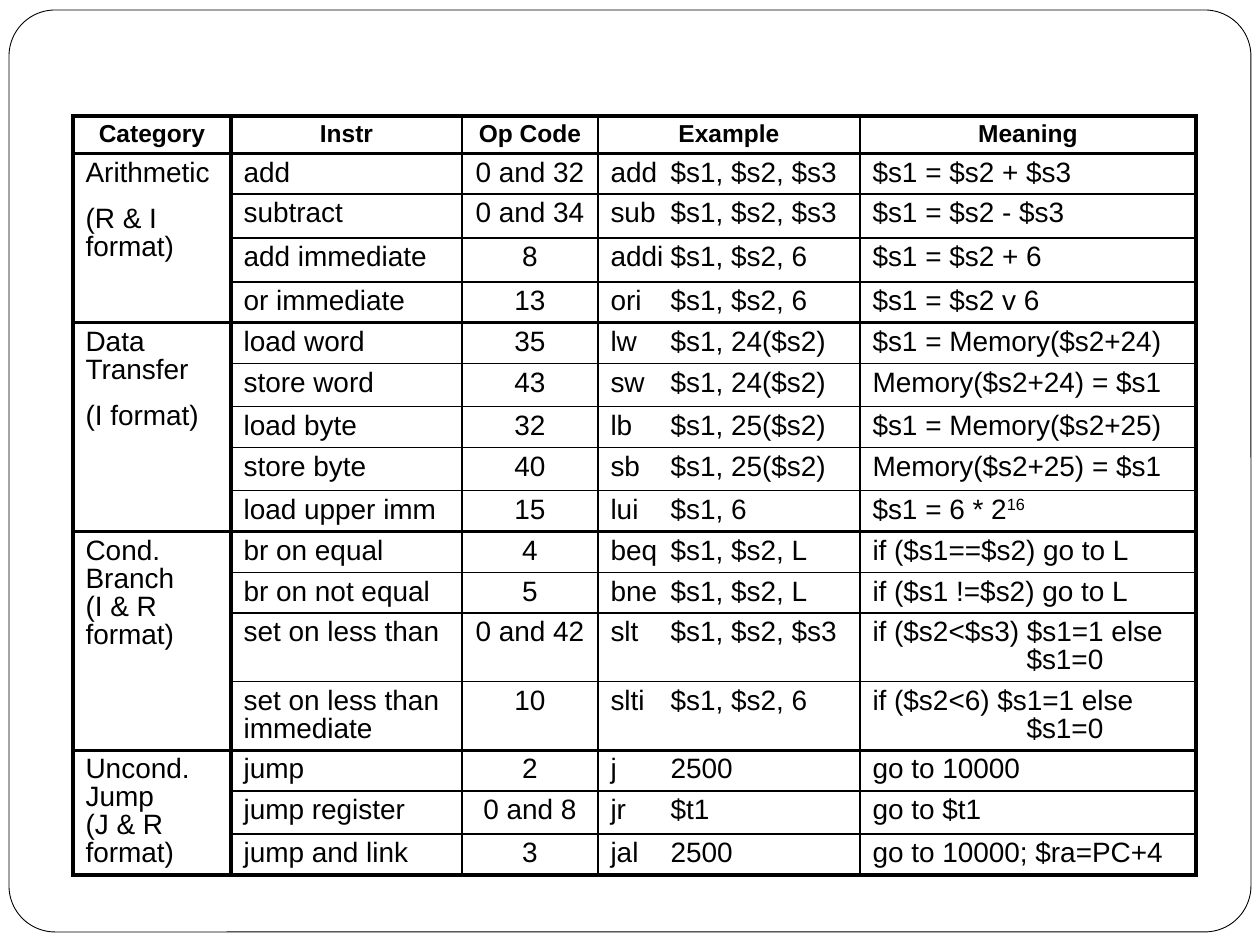
"""Build a slide with a table of processor instructions grouped by category."""
import pptx
import pptx.chart.data
import pptx.dml.color
import pptx.enum.shapes
import pptx.enum.text
import pptx.oxml
import pptx.oxml.ns
import pptx.util

HEADERS = ["Category", "Instr", "Op Code", "Example", "Meaning"]
GROUPS = [
    {"category": ["Arithmetic", "(R & I format)"], "gap": 10.4, "rows": [
        ("add", "0 and 32", "add\t$s1, $s2, $s3", "$s1 = $s2 + $s3"),
        ("subtract", "0 and 34", "sub\t$s1, $s2, $s3", "$s1 = $s2 - $s3"),
        ("add immediate", "8", "addi\t$s1, $s2, 6", "$s1 = $s2 + 6"),
        ("or immediate", "13", "ori\t$s1, $s2, 6", "$s1 = $s2 v 6")]},
    {"category": ["Data Transfer", "(I format)"], "gap": 10.4, "rows": [
        ("load word", "35", "lw\t$s1, 24($s2)", "$s1 = Memory($s2+24)"),
        ("store word", "43", "sw\t$s1, 24($s2)", "Memory($s2+24) = $s1"),
        ("load byte", "32", "lb\t$s1, 25($s2)", "$s1 = Memory($s2+25)"),
        ("store byte", "40", "sb\t$s1, 25($s2)", "Memory($s2+25) = $s1"),
        ("load upper imm", "15", "lui\t$s1, 6", "$s1 = 6 * 2^16")]},
    {"category": ["Cond. Branch", "(I & R format)"], "gap": 0, "rows": [
        ("br on equal", "4", "beq\t$s1, $s2, L", "if ($s1==$s2) go to L"),
        ("br on not equal", "5", "bne\t$s1, $s2, L", "if ($s1 !=$s2) go to L"),
        ("set on less than", "0 and 42", "slt\t$s1, $s2, $s3",
         "if ($s2<$s3) $s1=1 else\n$s1=0"),
        ("set on less than immediate", "10", "slti\t$s1, $s2, 6",
         "if ($s2<6) $s1=1 else\n$s1=0")]},
    {"category": ["Uncond. Jump", "(J & R format)"], "gap": 0, "rows": [
        ("jump", "2", "j\t2500", "go to 10000"),
        ("jump register", "0 and 8", "jr\t$t1", "go to $t1"),
        ("jump and link", "3", "jal\t2500", "go to 10000; $ra=PC+4")]},
]
COL_WIDTHS = [158, 231, 136, 262, 336]
ROW_HEIGHTS = [37, 40, 44, 44, 40, 41, 43, 41, 43, 41, 41, 40, 66, 68, 41, 43, 41]
TABLE_LEFT, TABLE_TOP = 73, 116
OPERAND_TAB, ELSE_INDENT = 60, 154
COLORS = {"ink": "000000", "paper": "FFFFFF"}
THICK, THIN = 2.25, 1
HEADER_FONT = {"size": pptx.util.Pt(14), "bold": True, "name": "Arial"}
BODY_FONT = {"size": pptx.util.Pt(16), "bold": False, "name": "Arial"}
CENTER, LEFT = pptx.enum.text.PP_ALIGN.CENTER, pptx.enum.text.PP_ALIGN.LEFT
NS = pptx.oxml.ns.nsdecls("a")


def px(n):
    return pptx.util.Emu(round(n * 914400 / 126))


def rgb(name):
    return pptx.dml.color.RGBColor.from_string(COLORS[name])


def set_attrs(obj, values):
    for name, value in values.items():
        setattr(obj, name, value)


def write(cell, paragraphs, font, align=LEFT, gap=0, indent=0):
    tf = cell.text_frame
    for i, text in enumerate(paragraphs):
        p = tf.add_paragraph() if i else tf.paragraphs[0]
        set_attrs(p, {"alignment": align, "line_spacing": 0.9,
                      "space_before": pptx.util.Pt(gap if i else 0)})
        pPr = p._p.get_or_add_pPr()
        if i and indent:
            pPr.set("marL", str(px(indent)))
        if "\t" in text:
            pPr.append(pptx.oxml.parse_xml(
                f'<a:tabLst {NS}><a:tab pos="{px(OPERAND_TAB)}" algn="l"/></a:tabLst>'))
        for j, part in enumerate(text.split("^")):
            r = p.add_run()
            r.text = part
            set_attrs(r.font, font)
            r.font.color.rgb = rgb("ink")
            if j:
                r.font._element.set("baseline", "30000")


def draw_borders(cell, widths):
    tcPr = cell._tc.get_or_add_tcPr()
    for side in "LRTB":
        if side in widths:
            tcPr.append(pptx.oxml.parse_xml(
                f'<a:ln{side} {NS} w="{pptx.util.Pt(widths[side])}"><a:solidFill>'
                f'<a:srgbClr val="{COLORS["ink"]}"/></a:solidFill></a:ln{side}>'))
    cell.fill.background()


prs = pptx.Presentation()
set_attrs(prs, {"slide_width": px(1260), "slide_height": px(945)})
s = prs.slides.add_slide(prs.slide_layouts[6])

frame = s.shapes.add_shape(pptx.enum.shapes.MSO_SHAPE.ROUNDED_RECTANGLE,
                           px(9), px(10), px(1242), px(922))
frame.adjustments[0] = 0.05
frame.shadow.inherit = False
frame.fill.solid()
frame.fill.fore_color.rgb = rgb("paper")
frame.line.color.rgb = rgb("ink")
frame.line.width = pptx.util.Pt(0.5)

table = s.shapes.add_table(len(ROW_HEIGHTS), len(COL_WIDTHS), px(TABLE_LEFT), px(TABLE_TOP),
                           px(sum(COL_WIDTHS)), px(sum(ROW_HEIGHTS))).table
set_attrs(table, {"first_row": False, "horz_banding": False})
for col, width in zip(table.columns, COL_WIDTHS):
    col.width = px(width)
for row, height in zip(table.rows, ROW_HEIGHTS):
    row.height = px(height)

for c, header in enumerate(HEADERS):
    write(table.cell(0, c), [header], HEADER_FONT, CENTER)

starts = [0, 1]
for group in GROUPS:
    top = starts[-1]
    starts.append(top + len(group["rows"]))
    table.cell(top, 0).merge(table.cell(starts[-1] - 1, 0))
    write(table.cell(top, 0), group["category"], BODY_FONT, gap=group["gap"])
    for r, values in enumerate(group["rows"], top):
        for c, value in enumerate(values, 1):
            write(table.cell(r, c), value.split("\n"), BODY_FONT,
                  CENTER if c == 2 else LEFT, indent=ELSE_INDENT)

last_col = len(COL_WIDTHS) - 1
for r in range(len(ROW_HEIGHTS)):
    for c in range(len(COL_WIDTHS)):
        thick = {"L": c <= 1, "R": c in (0, last_col), "T": r in starts, "B": r + 1 in starts}
        cell = table.cell(r, c)
        if cell.is_merge_origin:
            thick["B"] = True
        draw_borders(cell, {side: THICK if heavy else THIN for side, heavy in thick.items()
                            if heavy or not cell.is_spanned})

prs.save("out.pptx")
